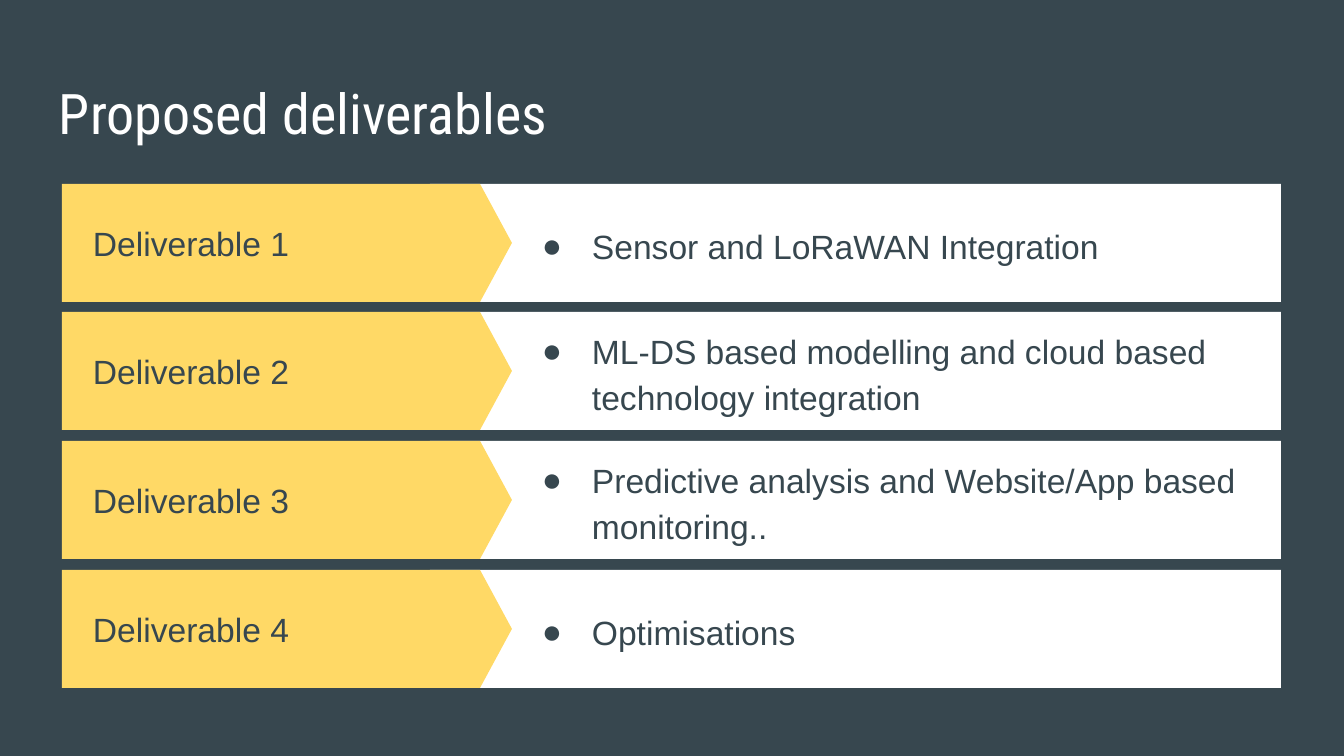
from lxml.etree import SubElement
from pptx import Presentation
from pptx.dml.color import RGBColor
from pptx.enum.shapes import MSO_SHAPE
from pptx.enum.text import MSO_ANCHOR
from pptx.oxml.ns import qn
from pptx.util import Emu, Pt

SLATE = RGBColor(0x37, 0x47, 0x4F)
WHITE = RGBColor(0xFF, 0xFF, 0xFF)
YELLOW = RGBColor(0xFF, 0xD9, 0x66)

WIDTH, HEIGHT = 1344, 756
EMU_PER_PX = 9144000 / WIDTH
INSET = 13

DELIVERABLES = [
    "Sensor and LoRaWAN Integration",
    "ML-DS based modelling and cloud based technology integration",
    "Predictive analysis and Website/App based monitoring..",
    "Optimisations",
]
FIRST_TOP, LAST_TOP, ROW_HEIGHT = 184, 570, 118


def px(length):
    return Emu(round(length * EMU_PER_PX))


class SlideBuilder:
    title_font = {"name": "Roboto Condensed", "size": Pt(30)}
    body_font = {"name": "Arial", "size": Pt(18)}

    def __init__(self, slide):
        self.slide = slide

    def background(self, color):
        fill = self.slide.background.fill
        fill.solid()
        fill.fore_color.rgb = color

    def group(self):
        return self.slide.shapes.add_group_shape()

    def block(self, group, kind, place, color):
        shape = group.shapes.add_shape(kind, *map(px, place))
        shape.shadow.inherit = False
        shape.fill.solid()
        shape.fill.fore_color.rgb = color
        shape.line.fill.background()
        return shape

    def text(self, words, place, font, color, anchor=MSO_ANCHOR.MIDDLE):
        box = self.slide.shapes.add_textbox(*map(px, place))
        frame = box.text_frame
        layout = {"word_wrap": True, "vertical_anchor": anchor}
        layout.update({f"margin_{side}": px(INSET)
                       for side in ("left", "top", "right", "bottom")})
        for name, value in layout.items():
            setattr(frame, name, value)
        para = frame.paragraphs[0]
        span = para.add_run()
        span.text = words
        for name, value in font.items():
            setattr(span.font, name, value)
        span.font.color.rgb = color
        return para

    def bullet(self, words, place, color):
        para = self.text(words, place, self.body_font, color)
        para.line_spacing = 1.15
        properties = para._p.get_or_add_pPr()
        properties.set("marL", str(px(67)))
        properties.set("indent", str(px(-50)))
        bullet_color = SubElement(properties, qn("a:buClr"))
        SubElement(bullet_color, qn("a:srgbClr"), val=str(color))
        SubElement(properties, qn("a:buFont"), typeface="Arial")
        SubElement(properties, qn("a:buChar"), char="●")


def main():
    deck = Presentation()
    deck.slide_width, deck.slide_height = px(WIDTH), px(HEIGHT)
    page = SlideBuilder(deck.slides.add_slide(deck.slide_layouts[6]))
    page.background(SLATE)

    # Title
    page.text("Proposed deliverables", (46, 66, 1252, 84),
              page.title_font, WHITE, MSO_ANCHOR.TOP)

    # One row per deliverable: white bar, yellow arrow, label and bullet
    for index, words in enumerate(DELIVERABLES):
        top = FIRST_TOP + index * (LAST_TOP - FIRST_TOP) // (len(DELIVERABLES) - 1)
        row = page.group()
        page.block(row, MSO_SHAPE.RECTANGLE, (430, top, 851, ROW_HEIGHT), WHITE)
        arrow = page.block(row, MSO_SHAPE.PENTAGON, (62, top, 450, ROW_HEIGHT), YELLOW)
        arrow.adjustments[0] = 0.27
        page.text(f"Deliverable {index + 1}", (80, top, 356, ROW_HEIGHT),
                  page.body_font, SLATE)
        page.bullet(words, (512, top, 751, ROW_HEIGHT), SLATE)

    deck.save("out.pptx")


if __name__ == "__main__":
    main()
